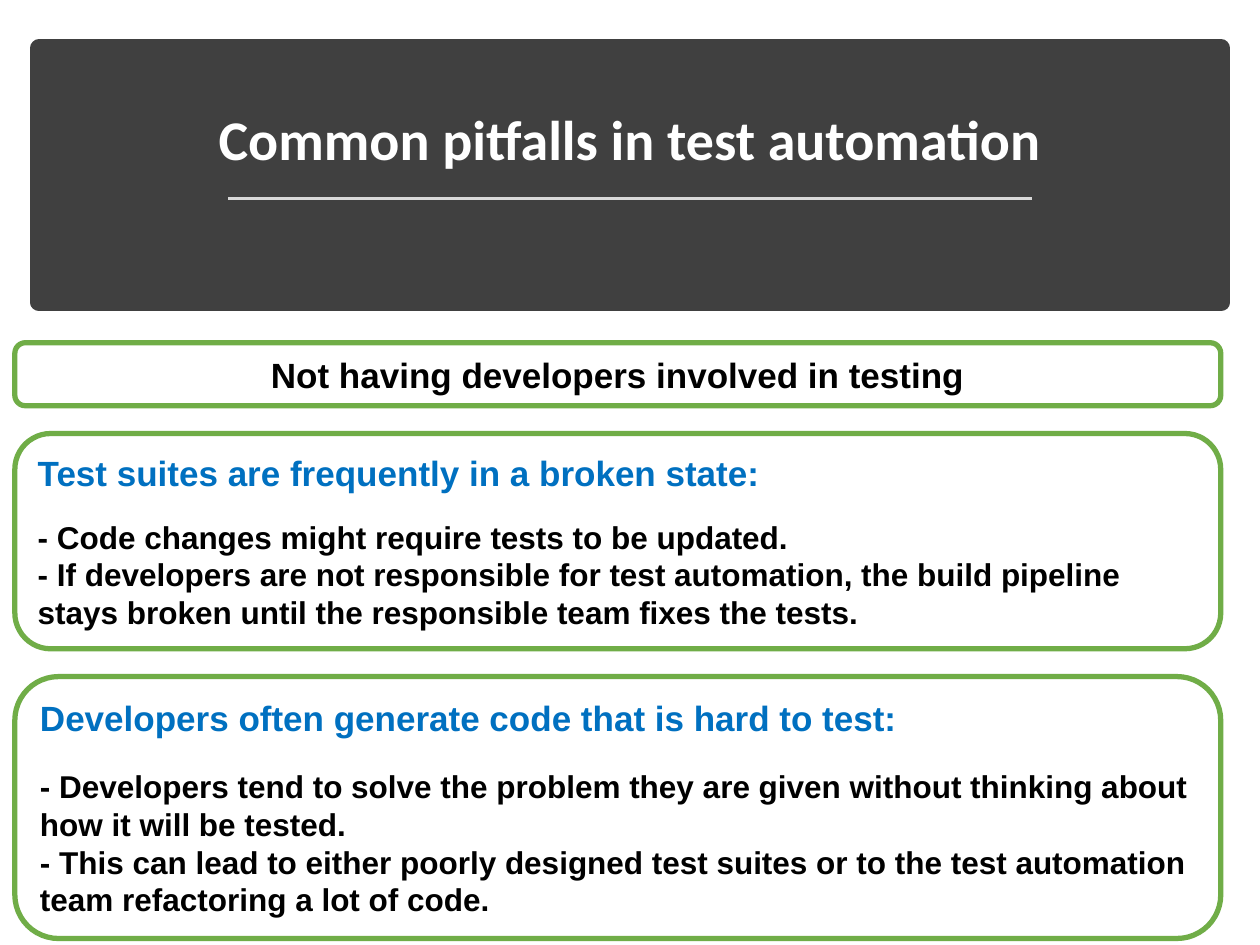
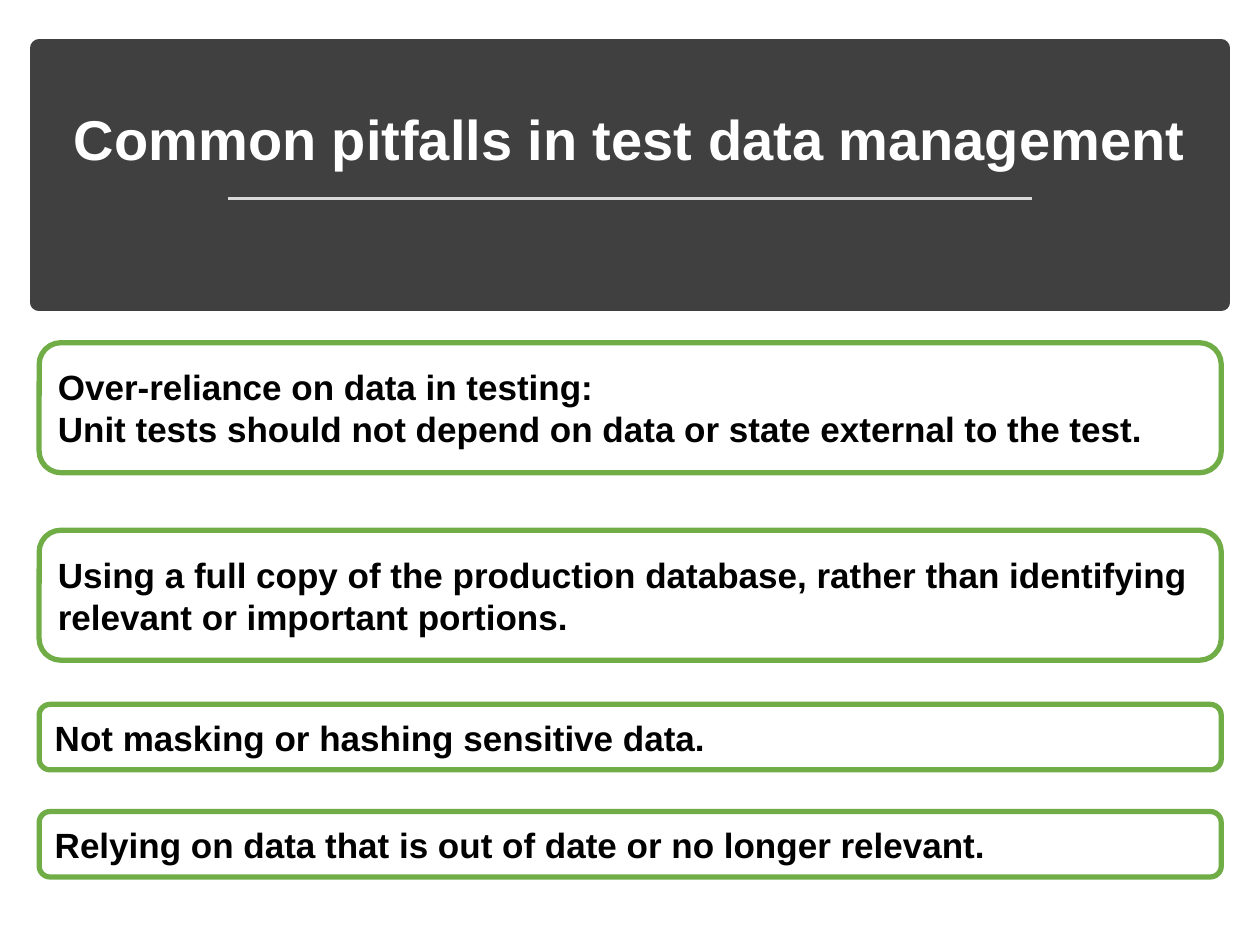
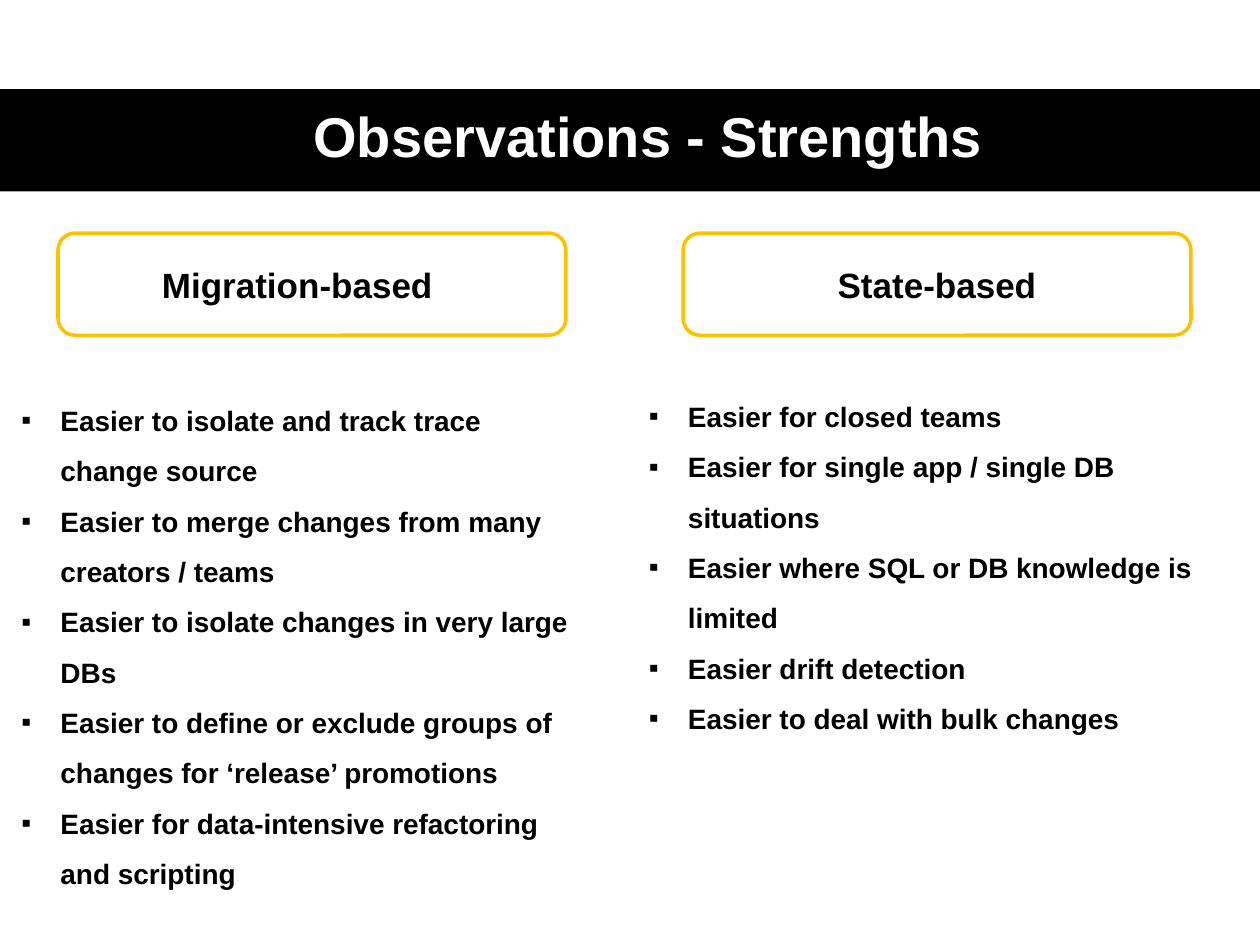
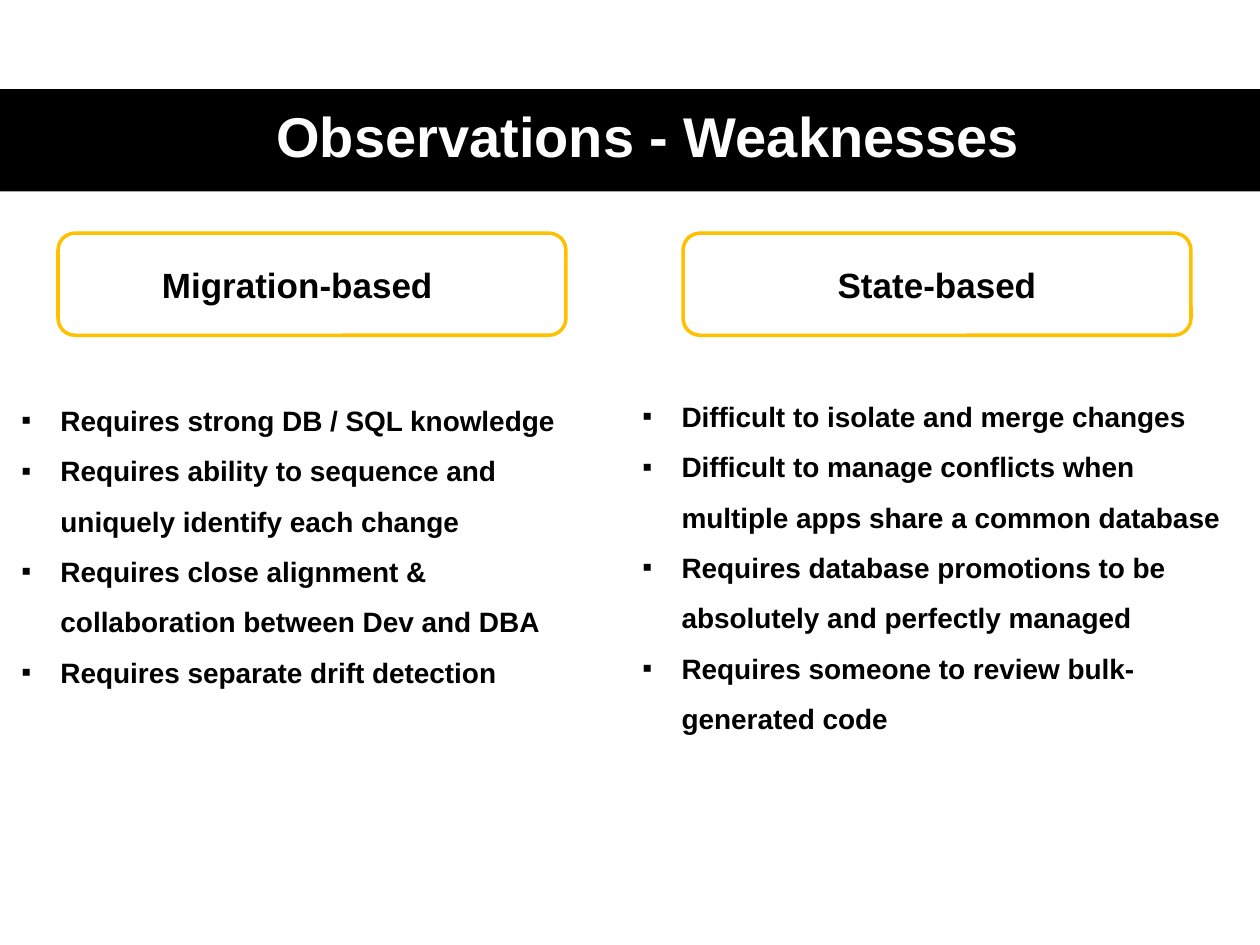
from lxml.etree import SubElement
from pptx import Presentation
from pptx.dml.color import RGBColor
from pptx.enum.shapes import MSO_CONNECTOR, MSO_SHAPE
from pptx.enum.text import MSO_ANCHOR, PP_ALIGN
from pptx.oxml.ns import qn
from pptx.util import Cm, Pt

BLACK, WHITE, DARK, RULE = "000000", "FFFFFF", "404040", "D9D9D9"
GREEN, BLUE, GOLD, TITLE = "70AD47", "0070C0", "FFC000", "FFFEFF"
rgb = RGBColor.from_string


def add_box(s, shape, at, fill, line=None, width=0):
    sp = s.shapes.add_shape(shape, *[Cm(v) for v in at])
    sp.shadow.inherit = False
    sp.fill.solid()
    sp.fill.fore_color.rgb = rgb(fill)
    if line:
        sp.line.color.rgb = rgb(line)
        sp.line.width = Pt(width)
    else:
        sp.line.fill.background()
    return sp


def write(sp, lines, size=20, color=BLACK, font="Arial", align=PP_ALIGN.LEFT,
          anchor=MSO_ANCHOR.MIDDLE, spacing=1.0, indent=0, bullet=None):
    tf = sp.text_frame
    tf.word_wrap = True
    tf.vertical_anchor = anchor
    tf.text = "\n".join(lines)
    for p in tf.paragraphs:
        p.alignment = align
        p.line_spacing = spacing
        pPr = p._p.get_or_add_pPr()
        pPr.set("marL", str(Cm(indent)))
        if bullet:
            pPr.set("indent", str(-Cm(indent)))
            clr = SubElement(pPr, qn("a:buClr"))
            SubElement(clr, qn("a:srgbClr"), val=BLACK)
            SubElement(pPr, qn("a:buFont"), typeface="Arial")
            SubElement(pPr, qn("a:buChar"), char=bullet)
        for r in p.runs:
            r.font.name = font
            r.font.size = Pt(size)
            r.font.bold = True
            r.font.color.rgb = rgb(color)
    return tf.paragraphs


prs = Presentation()
prs.slide_width, prs.slide_height = Cm(25.4), Cm(19.05)
blank = prs.slide_layouts[6]

pitfalls = [
    ("Common pitfalls in test automation", "Calibri", 0.3, 24.31, [
        (6.91, 1.27, PP_ALIGN.CENTER, 0, ["Not having developers involved in testing"]),
        (8.74, 4.34, PP_ALIGN.LEFT, 14, [
            "Test suites are frequently in a broken state:",
            "- Code changes might require tests to be updated.",
            "- If developers are not responsible for test automation, the build "
            "pipeline stays broken until the responsible team fixes the tests."]),
        (13.64, 5.28, PP_ALIGN.LEFT, 16, [
            "Developers often generate code that is hard to test:",
            "- Developers tend to solve the problem they are given without "
            "thinking about how it will be tested.",
            "- This can lead to either poorly designed test suites or to the test "
            "automation team refactoring a lot of code."]),
    ]),
    ("Common pitfalls in test data management", "Arial", 0.79, 23.83, [
        (6.91, 2.62, PP_ALIGN.LEFT, 0, [
            "Over-reliance on data in testing:",
            "Unit tests should not depend on data or state external to the test."]),
        (10.69, 2.62, PP_ALIGN.LEFT, 0, [
            "Using a full copy of the production database, rather than identifying "
            "relevant or important portions."]),
        (14.2, 1.32, PP_ALIGN.LEFT, 0, ["Not masking or hashing sensitive data."]),
        (16.36, 1.32, PP_ALIGN.LEFT, 0, [
            "Relying on data that is out of date or no longer relevant."]),
    ]),
]

for title, font, left, width, boxes in pitfalls:
    s = prs.slides.add_slide(blank)
    add_box(s, MSO_SHAPE.RECTANGLE, (0.79, 0.97, 23.83, 5.13), DARK, DARK, 10)
    tb = s.shapes.add_textbox(Cm(1.09), Cm(1.37), Cm(23.22), Cm(2.24))
    write(tb, [title], 32, WHITE, font, PP_ALIGN.CENTER, MSO_ANCHOR.BOTTOM, 0.9)
    rule = s.shapes.add_connector(MSO_CONNECTOR.STRAIGHT, Cm(4.6), Cm(4.01), Cm(20.8), Cm(4.01))
    rule.line.color.rgb = rgb(RULE)
    rule.line.width = Pt(1.75)
    SubElement(rule._element.spPr, qn("a:effectLst"))
    for top, height, align, gap, lines in boxes:
        sp = add_box(s, MSO_SHAPE.ROUNDED_RECTANGLE, (left, top, width, height), WHITE, GREEN, 3)
        paragraphs = write(sp, lines, align=align)
        if gap:
            paragraphs[0].runs[0].font.color.rgb = rgb(BLUE)
            paragraphs[1].space_before = Pt(gap)
            for p in paragraphs[1:]:
                p.runs[0].font.size = Pt(18)

observations = [
    ("Observations - Strengths", (12.83, 12.52), [
        "Easier to isolate and track trace change source",
        "Easier to merge changes from many creators / teams",
        "Easier to isolate changes in very large DBs",
        "Easier to define or exclude groups of changes for ‘release’ promotions",
        "Easier for data-intensive refactoring and scripting",
    ], [
        "Easier for closed teams",
        "Easier for single app / single DB situations",
        "Easier where SQL or DB knowledge is limited",
        "Easier drift detection",
        "Easier to deal with bulk changes",
    ]),
    ("Observations - Weaknesses", (12.7, 12.4), [
        "Requires strong DB / SQL knowledge",
        "Requires ability to sequence and uniquely identify each change",
        "Requires close alignment & collaboration between Dev and DBA",
        "Requires separate drift detection",
    ], [
        "Difficult to isolate and merge changes",
        "Difficult to manage conflicts when multiple apps share a common database",
        "Requires database promotions to be absolutely and perfectly managed",
        "Requires someone to review bulk-generated code",
    ]),
]

for title, (right, right_width), migration, state in observations:
    s = prs.slides.add_slide(blank)
    add_box(s, MSO_SHAPE.RECTANGLE, (0, 1.8, 25.4, 2.06), BLACK)
    tb = s.shapes.add_textbox(Cm(1.17), Cm(1.78), Cm(23.37), Cm(2.06))
    write(tb, [title], 32, TITLE, align=PP_ALIGN.CENTER, spacing=0.9, indent=0.43)
    for left, heading, indent in [(1.17, "Migration-based\t", 0.3), (13.77, "State-based", 0)]:
        sp = add_box(s, MSO_SHAPE.ROUNDED_RECTANGLE, (left, 4.7, 10.24, 2.06), WHITE, GOLD, 2)
        write(sp, [heading], align=PP_ALIGN.CENTER, indent=indent)
    for left, top, width, items in [(0.18, 7.67, 11.89, migration),
                                    (right, 7.59, right_width, state)]:
        tb = s.shapes.add_textbox(Cm(left), Cm(top), Cm(width), Cm(6.12))
        write(tb, items, 16, anchor=MSO_ANCHOR.TOP, spacing=1.5, indent=0.79, bullet="▪")

prs.save("out.pptx")
